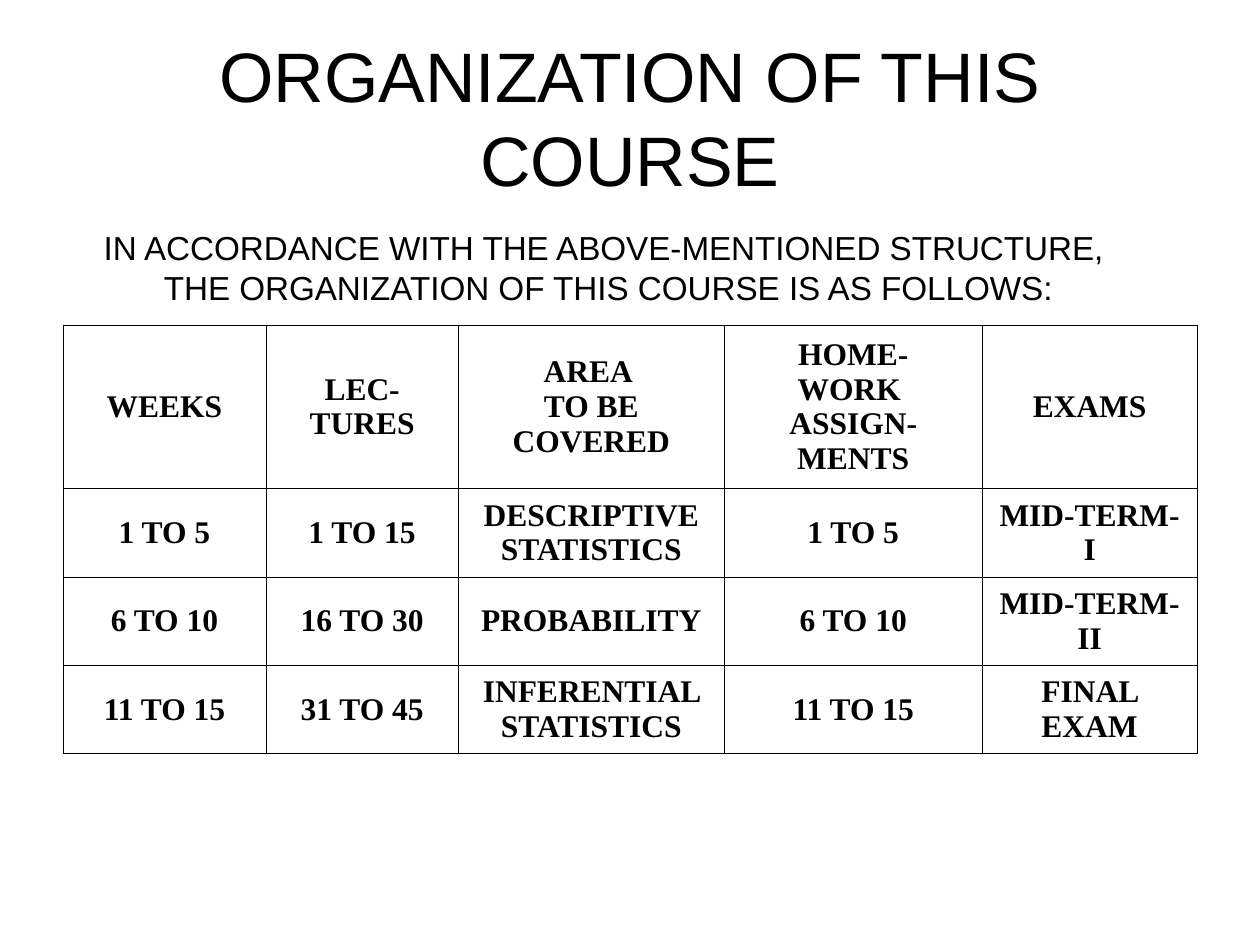
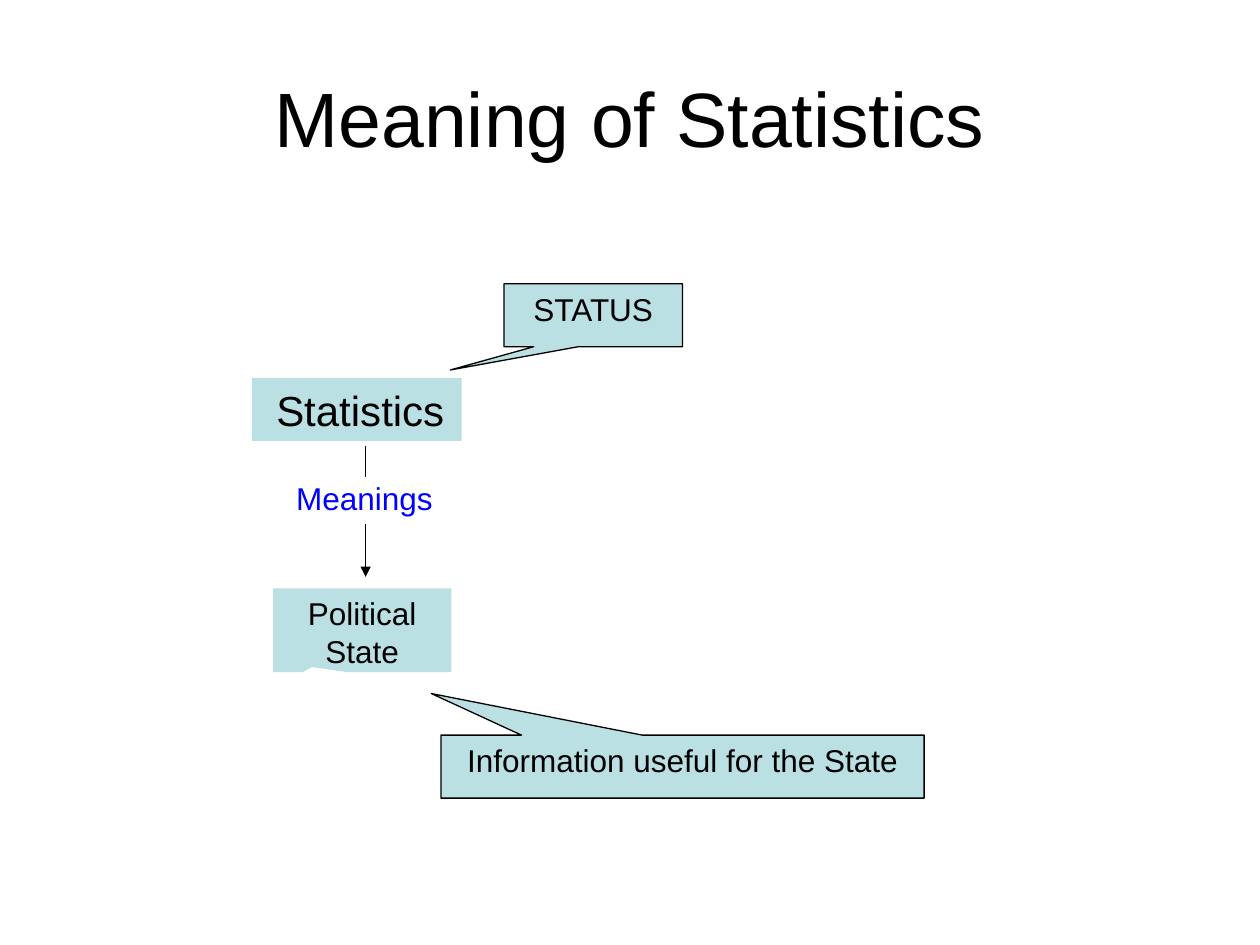
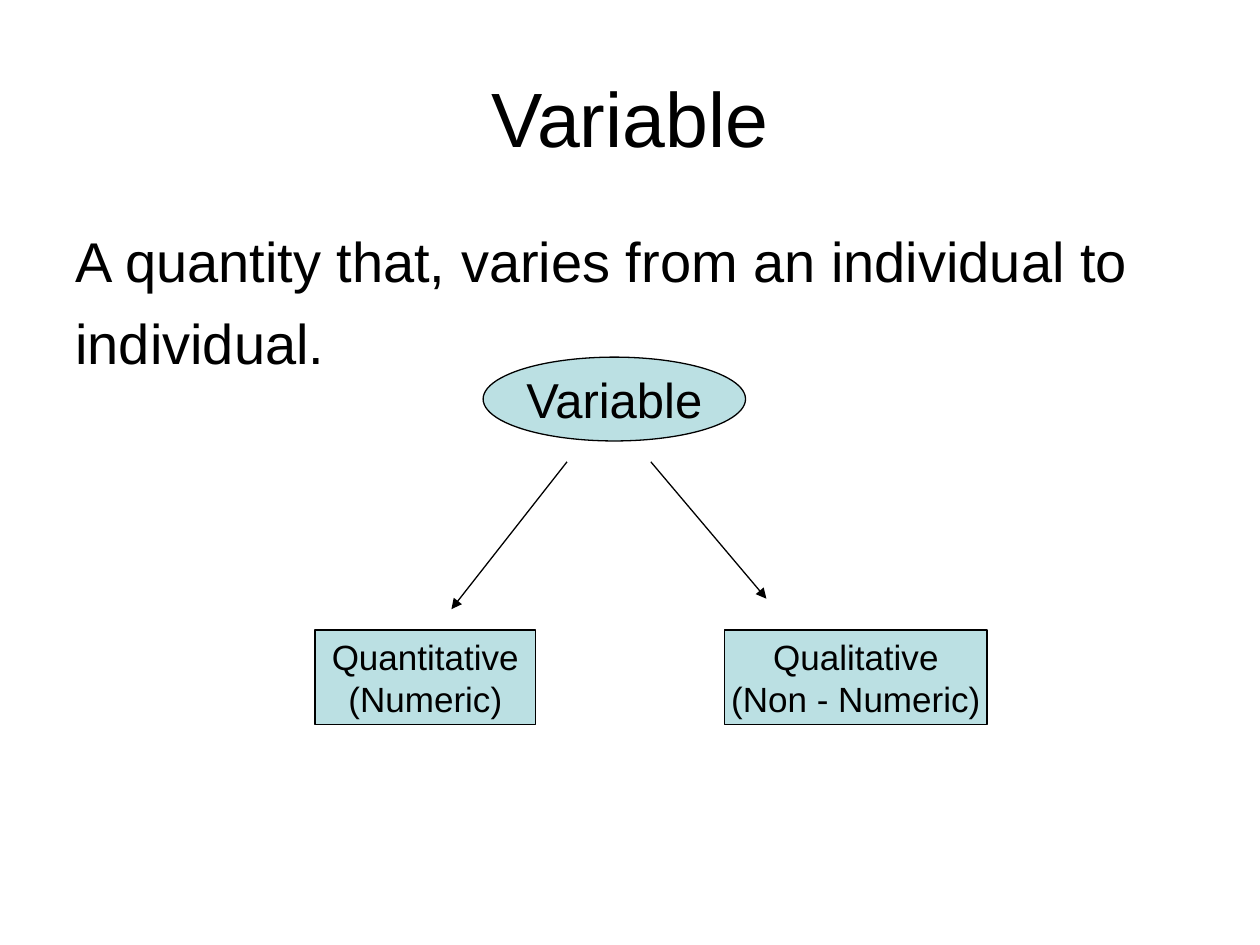
"""Build three slides introducing a statistics course."""
from lxml.etree import SubElement
from pptx import Presentation
from pptx.dml.color import RGBColor
from pptx.enum.shapes import MSO_CONNECTOR, MSO_SHAPE as SHAPE
from pptx.enum.text import MSO_ANCHOR as ANCHOR, MSO_AUTO_SIZE, PP_ALIGN as ALIGN
from pptx.oxml import parse_xml
from pptx.oxml.ns import nsdecls, qn
from pptx.util import Cm, Pt

BLACK = RGBColor(0x00, 0x00, 0x00)
BLUE = RGBColor(0x00, 0x00, 0xFF)
AQUA = RGBColor(0xBB, 0xE0, 0xE3)


def add_box(page, kind, area, lines, size, fill=AQUA, outline=True, color=BLACK,
            align=ALIGN.CENTER, anchor=ANCHOR.TOP, wrap=True):
    """Add a shape with one paragraph per line of text."""
    box = page.shapes.add_shape(kind, *[Cm(length) for length in area])
    box.shadow.inherit = False
    if fill is None:
        box.fill.background()
    else:
        box.fill.solid()
        box.fill.fore_color.rgb = fill
    if outline:
        box.line.color.rgb = BLACK
        box.line.width = Pt(0.75)
    else:
        box.line.fill.background()
    frame = box.text_frame
    frame.text = "\n".join(lines)
    frame.word_wrap = wrap
    frame.vertical_anchor = anchor
    for para in frame.paragraphs:
        para.alignment = align
        para.font.name = "Arial"
        para.font.size = Pt(size)
        para.font.color.rgb = color
    return box


def add_line(page, start_x, start_y, end_x, end_y, arrow=True):
    """Add a thin black line, by default with an arrowhead at its end."""
    line = page.shapes.add_connector(
        MSO_CONNECTOR.STRAIGHT, Cm(start_x), Cm(start_y), Cm(end_x), Cm(end_y))
    line.line.color.rgb = BLACK
    line.line.width = Pt(0.75)
    if arrow:
        SubElement(line.line._get_or_add_ln(), qn("a:tailEnd"), type="triangle")
    SubElement(line._element.spPr, qn("a:effectLst"))


deck = Presentation()
deck.slide_width, deck.slide_height = Cm(25.4), Cm(19.05)

pages = []
for heading, size in [("ORGANIZATION OF THIS COURSE", 40),
                      ("Meaning of Statistics", 44), ("Variable", 44)]:
    page = deck.slides.add_slide(deck.slide_layouts[5])
    title = page.shapes.title
    title.left, title.top, title.width, title.height = Cm(1.27), Cm(0.76), Cm(22.86), Cm(3.18)
    title.text_frame.text = heading
    title.text_frame.auto_size = MSO_AUTO_SIZE.NONE
    title.text_frame.vertical_anchor = ANCHOR.MIDDLE
    para = title.text_frame.paragraphs[0]
    para.alignment = ALIGN.CENTER
    para.font.name = "Arial"
    para.font.size = Pt(size)
    para.font.color.rgb = BLACK
    pages.append(page)
course, meaning, variable = pages

intro = add_box(course, SHAPE.RECTANGLE, (1.8, 3.15, 20.93, 3.94),
                ["IN ACCORDANCE WITH THE ABOVE-MENTIONED STRUCTURE, ",
                 "THE ORGANIZATION OF THIS COURSE IS AS FOLLOWS:"],
                19, fill=None, outline=False, anchor=ANCHOR.MIDDLE, wrap=False)
intro.text_frame.margin_top = Cm(0.66)

SCHEDULE = [
    ["WEEKS", "LEC-TURES", "AREA \nTO BE COVERED", "HOME-\nWORK \nASSIGN-MENTS", "EXAMS"],
    ["1 TO 5", "1 TO 15", "DESCRIPTIVE STATISTICS", "1 TO 5", "MID-TERM-I"],
    ["6 TO 10", "16 TO 30", "PROBABILITY", "6 TO 10", "MID-TERM-II"],
    ["11 TO 15", "31 TO 45", "INFERENTIAL STATISTICS", "11 TO 15", "FINAL EXAM"],
]
table = course.shapes.add_table(4, 5, Cm(1.27), Cm(6.55), Cm(22.86), Cm(8.64)).table
table.first_row = table.horz_banding = False
for column, width in zip(table.columns, (4.09, 3.88, 5.36, 5.2, 4.33)):
    column.width = Cm(width)
for row, height in zip(table.rows, (3.3, 1.78, 1.78, 1.78)):
    row.height = Cm(height)
for row, texts in zip(table.rows, SCHEDULE):
    for cell, text in zip(row.cells, texts):
        cell.text = text
        cell.vertical_anchor = ANCHOR.MIDDLE
        for para in cell.text_frame.paragraphs:
            para.alignment = ALIGN.CENTER
            para.font.name = "Times New Roman"
            para.font.size = Pt(18)
            para.font.bold = True
            para.font.color.rgb = BLACK
        for side in ("lnL", "lnR", "lnT", "lnB"):
            cell._tc.get_or_add_tcPr().append(parse_xml(
                f'<a:{side} {nsdecls("a")} w="{Pt(0.45)}"><a:solidFill>'
                f'<a:srgbClr val="{BLACK}"/></a:solidFill></a:{side}>'))
        cell.fill.background()

add_line(meaning, 7.37, 10.57, 7.37, 11.63)
statistics = add_box(meaning, SHAPE.RECTANGLE, (5.08, 7.62, 4.23, 1.27), ["Statistics"],
                     24, outline=False, align=ALIGN.LEFT)
statistics.text_frame.margin_left = Cm(0.49)
add_box(meaning, SHAPE.RECTANGLE, (5.72, 9.53, 3.39, 1.03), ["Meanings"], 18,
        fill=None, outline=False, color=BLUE, align=ALIGN.LEFT)
add_line(meaning, 7.37, 8.99, 7.37, 9.62, arrow=False)
for text, area, tip, outline in [
        ("STATUS", (10.16, 5.72, 3.6, 1.27), (-0.8, 0.87), True),
        ("Political State", (5.5, 11.86, 3.6, 1.69), (-0.28, 0.44), False),
        ("Information useful for the State", (8.89, 14.82, 9.74, 1.27), (-0.52, -1.16), True)]:
    callout = add_box(meaning, SHAPE.RECTANGULAR_CALLOUT, area, [text], 18, outline=outline)
    callout.adjustments[0], callout.adjustments[1] = tip

add_box(variable, SHAPE.RECTANGLE, (1.27, 4.45, 22.86, 12.57),
        ["A quantity that, varies from an individual to", "individual."],
        32, fill=None, outline=False, align=ALIGN.LEFT).text_frame.paragraphs[1].space_before = Pt(8)
for kind, area, lines, size in [
        (SHAPE.OVAL, (9.74, 7.2, 5.29, 1.69), ["Variable"], 28),
        (SHAPE.RECTANGLE, (6.35, 12.7, 4.45, 1.91), ["Quantitative", "(Numeric)"], 20),
        (SHAPE.RECTANGLE, (14.61, 12.7, 5.29, 1.91), ["Qualitative", "(Non - Numeric)"], 20)]:
    add_box(variable, kind, area, lines, size, anchor=ANCHOR.MIDDLE, wrap=False)
add_line(variable, 11.43, 9.31, 9.1, 12.28)
add_line(variable, 13.12, 9.31, 15.45, 12.07)

deck.save("out.pptx")
